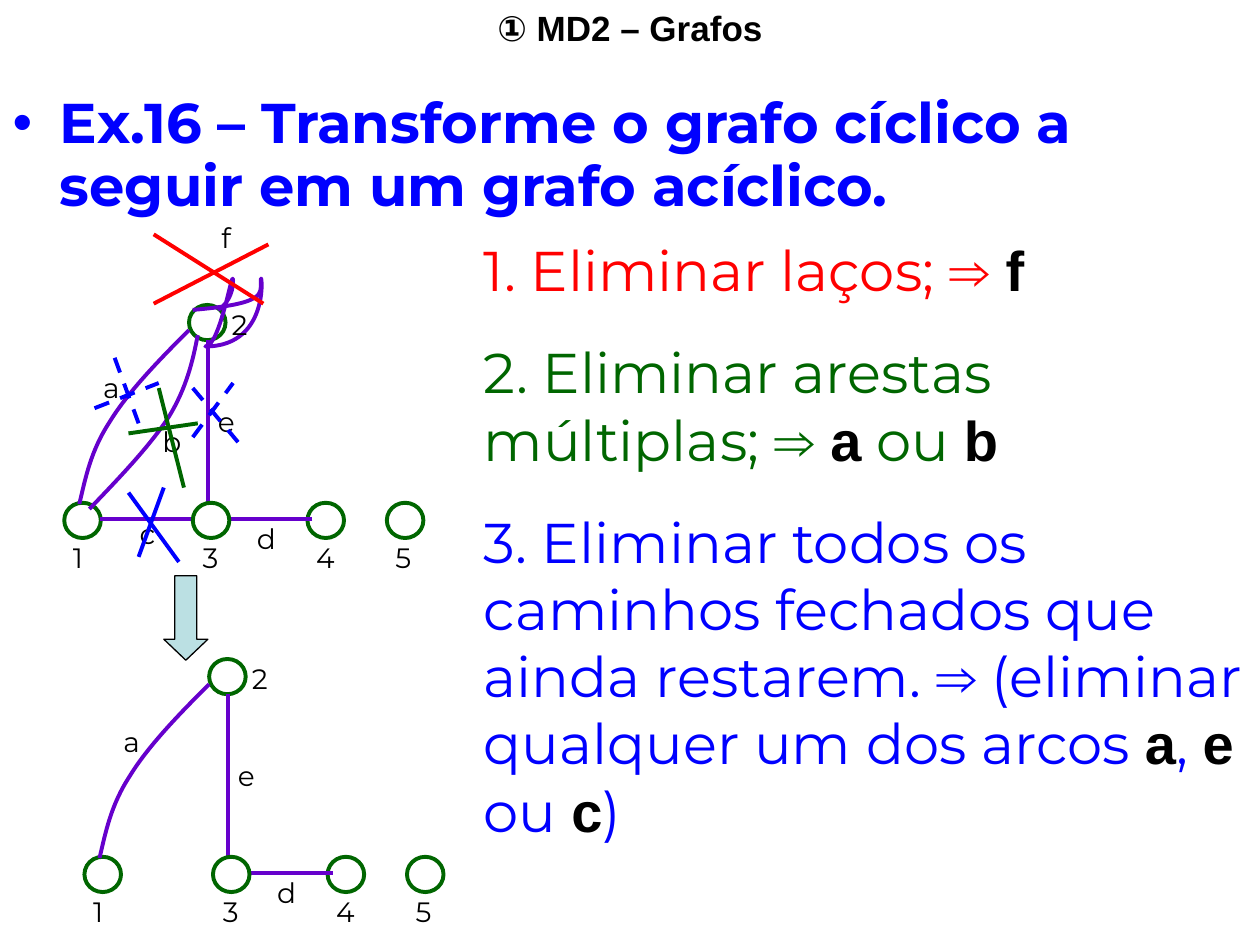
from lxml.etree import SubElement
from pptx import Presentation
from pptx.dml.color import RGBColor
from pptx.enum.dml import MSO_LINE_DASH_STYLE as Dash
from pptx.enum.shapes import MSO_CONNECTOR as Conn, MSO_SHAPE as Kind
from pptx.enum.text import MSO_ANCHOR as Anchor, MSO_AUTO_SIZE as Fit, PP_ALIGN as Align
from pptx.oxml.ns import qn
from pptx.util import Inches, Pt

BLACK = RGBColor(0, 0, 0)
WHITE = RGBColor(0xFF, 0xFF, 0xFF)
RED = RGBColor(0xFF, 0, 0)
GREEN = RGBColor(0, 0x66, 0)
BLUE = RGBColor(0, 0, 0xFF)
PURPLE = RGBColor(0x66, 0, 0xCC)
TEAL = RGBColor(0xBB, 0xE0, 0xE3)

deck = Presentation()
deck.slide_width, deck.slide_height = Inches(10), Inches(7.5)
slide = deck.slides.add_slide(deck.slide_layouts[3])
shapes = slide.shapes


def stroke(x1, y1, x2, y2, color=PURPLE, dash=None):
    line = shapes.add_connector(Conn.STRAIGHT, Inches(x1), Inches(y1), Inches(x2), Inches(y2))
    line.line.color.rgb = color
    line.line.width = Pt(2.25)
    if dash:
        line.line.dash_style = dash
    SubElement(line._element.spPr, qn("a:effectLst"))


def curve(points, dx=0, dy=0):
    """Draw Bézier arcs: a start point, then three points for each arc."""
    spots = [(Inches(x + dx), Inches(y + dy)) for x, y in points]
    pen = shapes.build_freeform(*spots[0])
    pen.add_line_segments(spots[1:], close=False)
    arc = pen.convert_to_shape()
    arc.shadow.inherit = False
    arc.fill.background()
    arc.line.color.rgb = PURPLE
    arc.line.width = Pt(2.25)
    # Each three straight segments become one cubic segment
    path = arc._element.find(".//" + qn("a:path"))
    legs = path.findall(qn("a:lnTo"))
    for i in range(0, len(legs), 3):
        cubic = SubElement(path, qn("a:cubicBezTo"))
        for leg in legs[i:i + 3]:
            cubic.append(leg[0])
            path.remove(leg)


# Title, question and steps
title, quest, steps = slide.placeholders
for box, (x, y, w, h) in (
    (title, (0, 0, 10, 0.44)),
    (quest, (0, 0.68, 10, 1.12)),
    (steps, (3.74, 1.82, 6.26, 4.93)),
):
    box.left, box.top, box.width, box.height = Inches(x), Inches(y), Inches(w), Inches(h)
    box.text_frame.auto_size = Fit.NONE
    box.text_frame.vertical_anchor = Anchor.TOP

for box, text, size, face, color in (
    (title, "① MD2 – Grafos", 20, "Arial", BLACK),
    (quest, "Ex.16 – Transforme o grafo cíclico a seguir em um grafo acíclico.",
     32, "Montserrat", BLUE),
):
    box.text_frame.text = text
    para = box.text_frame.paragraphs[0]
    para.space_before = Pt(0)
    font = para.font
    font.size, font.name, font.bold, font.color.rgb = Pt(size), face, True, color
title.text_frame.paragraphs[0].alignment = Align.CENTER
quest.text_frame.paragraphs[0].line_spacing = 0.95

# Run styles: plain text, "arrow" in Arial, "key" in bold black Arial
rules = (
    (RED, (("1. Eliminar laços; ", ""), ("⇒ ", "arrow"), ("f", "key"))),
    (GREEN, (("2. Eliminar arestas múltiplas; ", ""), ("⇒ ", "arrow"), ("a", "key"),
             (" ou ", ""), ("b", "key"))),
    (BLUE, (("3. Eliminar todos os caminhos fechados que ainda restarem. ", ""),
            ("⇒", "arrow"), (" (eliminar qualquer um dos arcos ", ""), ("a", "key"),
            (", ", ""), ("e", "key"), (" ou ", ""), ("c", "key"), (")", ""))),
)
for i, (color, runs) in enumerate(rules):
    para = steps.text_frame.paragraphs[0] if i == 0 else steps.text_frame.add_paragraph()
    para.space_before = Pt(20 if i else 0)
    props = para._p.get_or_add_pPr()
    props.set("marL", "0")
    props.set("indent", "0")
    SubElement(props, qn("a:buNone"))
    para.font.size = Pt(32)
    for text, style in runs:
        run = para.add_run()
        run.text = text
        run.font.name = "Arial" if style else "Montserrat"
        run.font.bold = style == "key"
        run.font.color.rgb = BLACK if style == "key" else color

# The acyclic graph below, then the cyclic one above it
nodes = ((0.51, 3.99), (2.44, 3.99), (3.07, 3.99), (1.5, 2.42), (1.53, 3.99))
edges = ((1.65, 2.7, 1.65, 4.04), (2.48, 4.12, 1.81, 4.12))
arc_a = ((0.63, 4), (0.68, 3.79), (0.72, 3.58), (0.87, 3.35),
         (1.01, 3.12), (1.25, 2.87), (1.5, 2.62))
arc_b = ((1.57, 2.66), (1.53, 2.87), (1.48, 3.08), (1.34, 3.31),
         (1.19, 3.54), (0.95, 3.79), (0.71, 4.04))
loop_f = ((1.53, 2.46), (2.12, 2.41), (2.07, 2.33), (2.07, 2.23),
          (2.07, 2.09), (2.17, 2.75), (1.63, 2.75),
          (1.75, 2.75), (1.85, 2.09), (1.85, 2.23),
          (1.85, 2.33), (1.8, 2.42), (1.73, 2.46))
names = (("1", 0.48, 4.24), ("2", 1.74, 2.39), ("3", 1.51, 4.24), ("4", 2.41, 4.24),
         ("5", 3.04, 4.24), ("a", 0.72, 2.89), ("d", 1.94, 4.09), ("e", 1.63, 3.16))
cut = (("b", 1.19, 3.32), ("c", 1.01, 4.05), ("f", 1.66, 1.7))

for dx, dy, cyclic in ((0.16, 2.81, False), (0, 0, True)):
    for i, (x, y) in enumerate(nodes):
        if i == len(nodes) - 1:  # node 3 covers the ends of its edges
            for x1, y1, x2, y2 in edges:
                stroke(x1 + dx, y1 + dy, x2 + dx, y2 + dy)
            if cyclic:
                stroke(0.79, 4.12, 1.53, 4.12)
        node = shapes.add_shape(Kind.FLOWCHART_CONNECTOR, Inches(x + dx), Inches(y + dy),
                                Inches(0.29), Inches(0.28))
        node.shadow.inherit = False
        node.fill.solid()
        node.fill.fore_color.rgb = WHITE
        node.line.color.rgb = GREEN
        node.line.width = Pt(2.25)
    if cyclic:
        curve(loop_f)
        curve(arc_b)
    curve(arc_a, dx, dy)
    for text, x, y in names + (cut if cyclic else ()):
        wide = 0.27 if text == "f" else 0.32
        label = shapes.add_textbox(Inches(x + dx), Inches(y + dy), Inches(wide), Inches(0.37))
        label.text_frame.word_wrap = False
        label.text_frame.auto_size = Fit.SHAPE_TO_FIT_TEXT
        label.text_frame.text = text
        font = label.text_frame.paragraphs[0].font
        font.size, font.name, font.color.rgb = Pt(16), "Montserrat", BLACK

arrow = shapes.add_shape(Kind.DOWN_ARROW, Inches(1.3), Inches(4.57), Inches(0.35), Inches(0.67))
arrow.adjustments[1] = 0.475
arrow.shadow.inherit = False
arrow.fill.solid()
arrow.fill.fore_color.rgb = TEAL
arrow.line.color.rgb = BLACK
arrow.line.width = Pt(0.75)

# Crosses over the removed edges
for color, dash, pair in (
    (RED, None, ((1.22, 1.86, 2.09, 2.41), (1.22, 2.41, 2.13, 1.94))),
    (GREEN, None, ((1.26, 3.08, 1.46, 3.87), (1.02, 3.44, 1.57, 3.36))),
    (BLUE, None, ((1.02, 3.91, 1.42, 4.46), (1.3, 3.87, 1.1, 4.42))),
    (BLUE, Dash.DASH, ((0.91, 2.84, 1.1, 3.36), (0.75, 3.24, 1.26, 3.04))),
    (BLUE, Dash.DASH, ((1.53, 3.08, 1.89, 3.51), (1.53, 3.47, 1.85, 3.04))),
):
    for ends in pair:
        stroke(*ends, color, dash)

deck.save("out.pptx")
